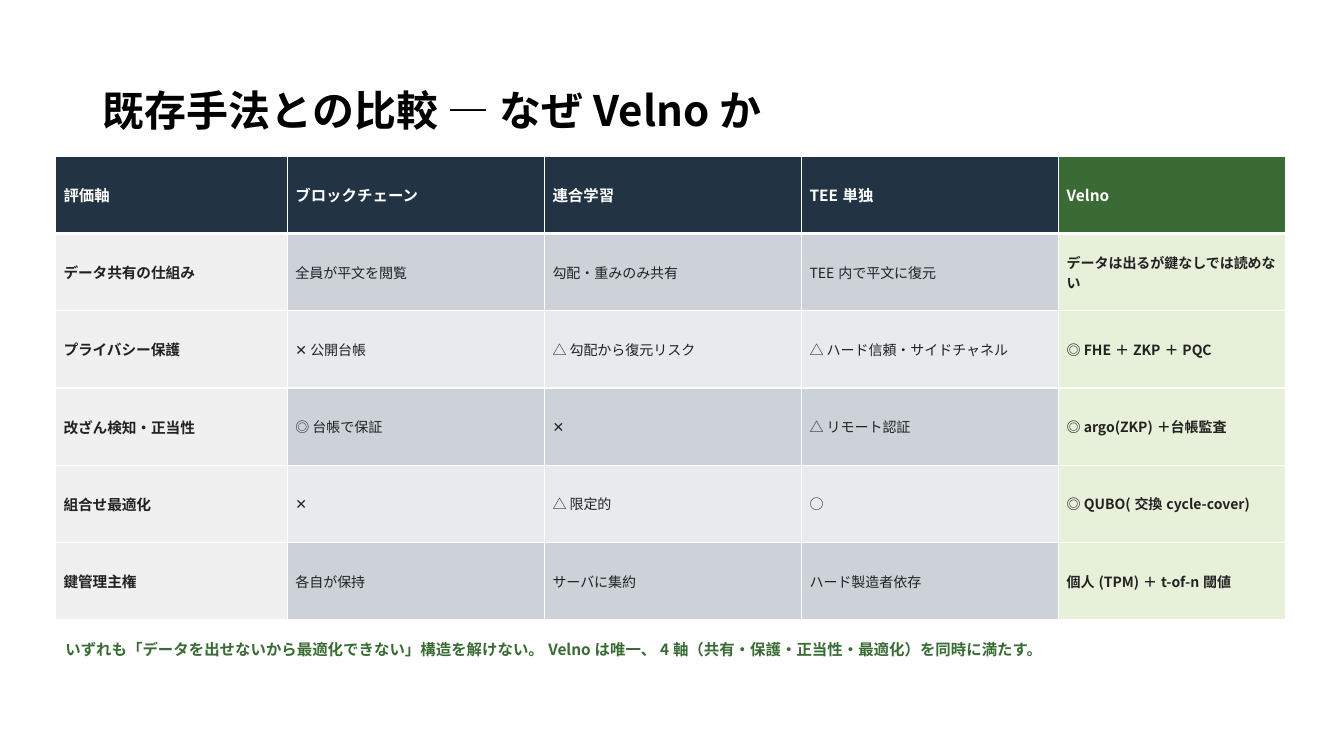
"""Build the slide that compares existing methods with Velno."""
from lxml.etree import SubElement
from pptx import Presentation
from pptx.dml.color import RGBColor
from pptx.enum.text import MSO_ANCHOR
from pptx.oxml.ns import qn
from pptx.util import Inches, Pt

COLORS = {
    "black": "000000", "white": "FFFFFF", "ink": "222222", "navy": "223344",
    "green": "3A6B35", "mint": "E7F0D9", "label": "F0F0F0",
    "band_dark": "CCD2D8", "band_light": "E8EAED",
}
FONT = "Noto Sans CJK JP"
COL_WIDTHS = [2.3, 2.55, 2.55, 2.55, 2.25]
ROWS = [
    ["評価軸", "ブロックチェーン", "連合学習", "TEE単独", "Velno"],
    ["データ共有の仕組み", "全員が平文を閲覧", "勾配・重みのみ共有",
     "TEE内で平文に復元", "データは出るが鍵なしでは読めない"],
    ["プライバシー保護", "✕ 公開台帳", "△ 勾配から復元リスク",
     "△ ハード信頼・サイドチャネル", "◎ FHE＋ZKP＋PQC"],
    ["改ざん検知・正当性", "◎ 台帳で保証", "✕", "△ リモート認証", "◎ argo(ZKP)＋台帳監査"],
    ["組合せ最適化", "✕", "△ 限定的", "○", "◎ QUBO(交換cycle-cover)"],
    ["鍵管理主権", "各自が保持", "サーバに集約", "ハード製造者依存", "個人(TPM)＋t-of-n閾値"],
]


class SlideBuilder:
    def __init__(self, slide, font, colors):
        self.s, self.font, self.colors = slide, font, colors

    def rgb(self, color):
        return RGBColor.from_string(self.colors[color])

    def add_text(self, tf, text, size, color, bold):
        p = tf.paragraphs[0]
        r = p.add_run()
        r.text = text
        r.font.color.rgb = self.rgb(color)
        for name, value in {"size": Pt(size), "bold": bold, "name": self.font}.items():
            setattr(r.font, name, value)
        SubElement(r._r.get_or_add_rPr(), qn("a:ea"), typeface=self.font)
        return p

    def textbox(self, box, text, size, color, anchor=MSO_ANCHOR.TOP, spacing=None):
        sp = self.s.shapes.add_textbox(*map(Inches, box))
        tf = sp.text_frame
        for name, value in {"word_wrap": True, "vertical_anchor": anchor}.items():
            setattr(tf, name, value)
        self.add_text(tf, text, size, color, True).line_spacing = spacing

    def border(self, cell, side, width):
        ln = SubElement(cell._tc.get_or_add_tcPr(), qn(f"a:ln{side}"), w=str(Pt(width)))
        fill = SubElement(ln, qn("a:solidFill"))
        SubElement(fill, qn("a:srgbClr"), val=self.colors["white"])

    def cell_style(self, i, j, last):
        if i == 0:
            return "green" if j == last else "navy", 11, "white", True
        if j == 0:
            return "label", 10.5, "ink", True
        if j == last:
            return "mint", 10, "ink", True
        return "band_dark" if i % 2 else "band_light", 10, "ink", False

    def cell(self, cell, text, i, j, last):
        fill, size, color, bold = self.cell_style(i, j, last)
        layout = {
            "vertical_anchor": MSO_ANCHOR.MIDDLE,
            "margin_left": Inches(0.08), "margin_right": Inches(0.08),
            "margin_top": Inches(0.01), "margin_bottom": Inches(0.01),
        }
        for name, value in layout.items():
            setattr(cell, name, value)
        for side in "LRTB":
            header_edge = (i, side) in ((0, "B"), (1, "T"))
            self.border(cell, side, 3 if header_edge else 1)
        cell.fill.solid()
        cell.fill.fore_color.rgb = self.rgb(fill)
        self.add_text(cell.text_frame, text, size, color, bold)

    def table(self, box, rows, widths):
        frame = self.s.shapes.add_table(len(rows), len(widths), *map(Inches, box))
        table = frame.table
        for column, width in zip(table.columns, widths):
            column.width = Inches(width)
        for i, row in enumerate(rows):
            for j, text in enumerate(row):
                self.cell(table.cell(i, j), text, i, j, len(row) - 1)


def main():
    prs = Presentation()
    prs.slide_width, prs.slide_height = Inches(13.33), Inches(7.5)
    slide = SlideBuilder(prs.slides.add_slide(prs.slide_layouts[6]), FONT, COLORS)
    slide.textbox((0.92, 0.4, 11.5, 1.45), "既存手法との比較 — なぜVelnoか", 30, "black",
                  MSO_ANCHOR.MIDDLE, 0.9)
    slide.table((0.55, 1.55, 12.2, 4.6), ROWS, COL_WIDTHS)
    slide.textbox((0.55, 6.3, 12.2, 0.6),
                  "いずれも「データを出せないから最適化できない」構造を解けない。"
                  "Velnoは唯一、4軸（共有・保護・正当性・最適化）を同時に満たす。", 11, "green")
    prs.save("out.pptx")


if __name__ == "__main__":
    main()
